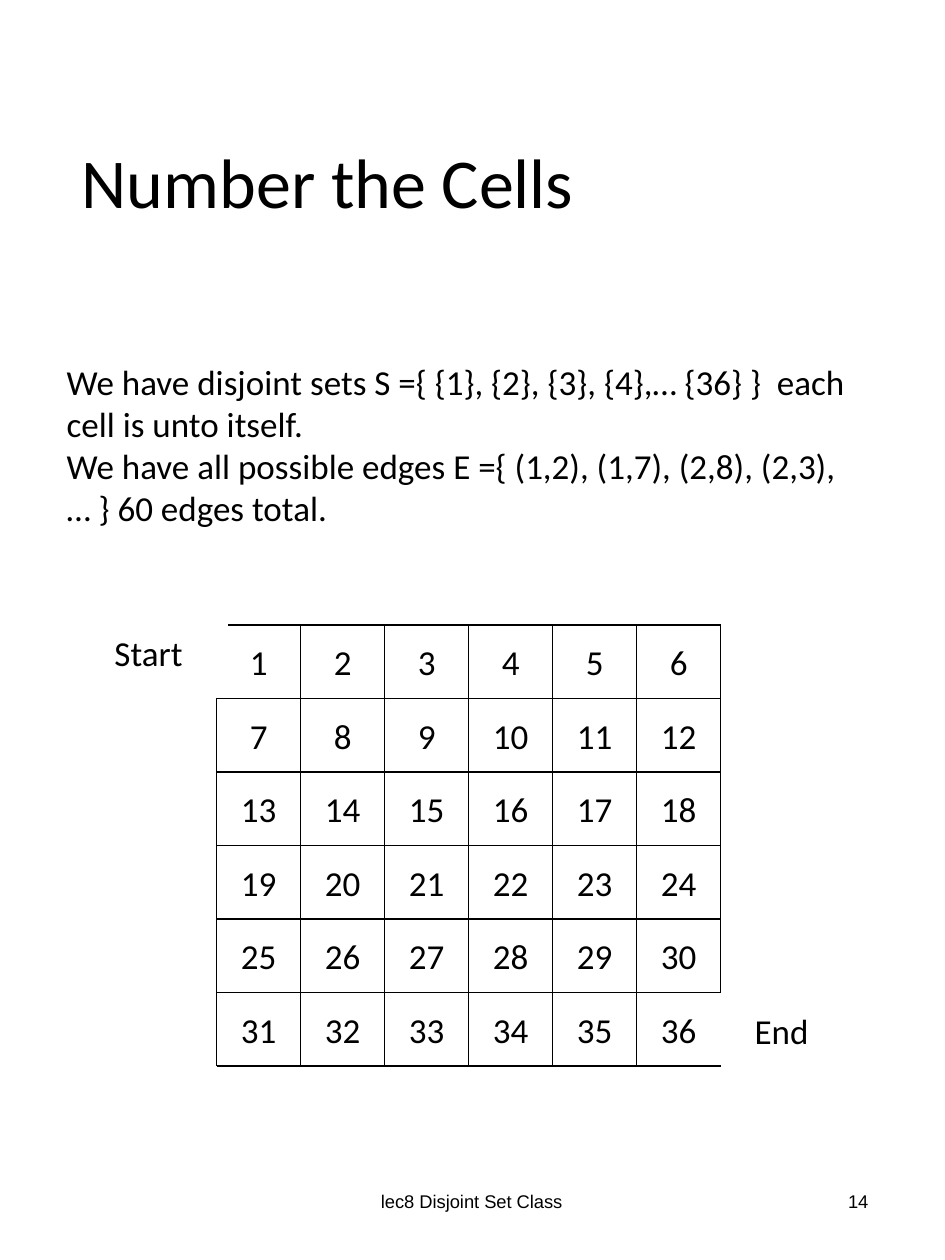
from itertools import product

from lxml import etree
from pptx import Presentation, util as u
from pptx.dml.color import RGBColor
from pptx.enum import shapes, text
from pptx.oxml.ns import qn

# Content
TITLE = "Number the Cells"
BODY = [
    "We have disjoint sets S ={ {1}, {2}, {3}, {4},… {36} }  each cell is unto itself.",
    "We have all possible edges E ={ (1,2), (1,7), (2,8), (2,3), … } 60 edges total.",
]
START, END = "Start", "End"
FOOTER, PAGE = "lec8 Disjoint Set Class", "14"


class Theme:
    ink = RGBColor(0, 0, 0)
    font, footer_font = "Calibri", "Arial"
    title, body, footer = 40, 20, 10.5
    line = 0.75


# Maze grid, in inches
COLS, ROWS = 6, 6
LEFT, TOP, WIDTH, HEIGHT = 1.72, 4.96, 4, 3.5
CELL_W, CELL_H = WIDTH / COLS, HEIGHT / ROWS
LABEL_W, LABEL_H = 0.5, 0.42
ENTRY_SHIFT = 0.09  # the entry wall starts a little right of the corner

LEFT_ALIGN, CENTER, RIGHT = (text.PP_ALIGN.LEFT, text.PP_ALIGN.CENTER,
                             text.PP_ALIGN.RIGHT)
AT_TOP, MIDDLE = text.MSO_ANCHOR.TOP, text.MSO_ANCHOR.MIDDLE

prs = Presentation()
prs.slide_width, prs.slide_height = u.Inches(7.5), u.Inches(10)
s = prs.slides.add_slide(prs.slide_layouts[5])


def write(lines, box, sp=None, size=Theme.body, font=Theme.font, align=LEFT_ALIGN,
          anchor=AT_TOP, wrap=True, grow=False, spacing=None):
    """Put lines of text in a placeholder, or in a new text box."""
    box = [u.Inches(v) for v in box]
    if sp is None:
        sp = s.shapes.add_textbox(*box)
    sp.left, sp.top, sp.width, sp.height = box
    tf = sp.text_frame
    tf.text = "\n".join(lines)
    tf.word_wrap, tf.vertical_anchor = wrap, anchor
    tf.auto_size = (text.MSO_AUTO_SIZE.SHAPE_TO_FIT_TEXT if grow
                    else text.MSO_AUTO_SIZE.NONE)
    for p in tf.paragraphs:
        p.alignment = align
        if spacing:
            p.line_spacing = spacing
        for r in p.runs:
            r.font.name, r.font.size = font, u.Pt(size)
            r.font.color.rgb = Theme.ink


def wall(c1, r1, c2, r2, shift=0):
    """Draw a wall between two grid corners."""
    ends = (LEFT + c1 * CELL_W + shift, TOP + r1 * CELL_H,
            LEFT + c2 * CELL_W + shift, TOP + r2 * CELL_H)
    line = s.shapes.add_connector(shapes.MSO_CONNECTOR.STRAIGHT,
                                  *(u.Inches(v) for v in ends))
    line.line.color.rgb, line.line.width = Theme.ink, u.Pt(Theme.line)
    etree.SubElement(line._element.spPr, qn("a:effectLst"))


# Footer, title and body
write([FOOTER], (2.48, 9.27, 2.53, 0.53), size=Theme.footer,
      font=Theme.footer_font, align=CENTER, anchor=MIDDLE)
write([PAGE], (5.3, 9.27, 1.69, 0.53), size=Theme.footer,
      font=Theme.footer_font, align=RIGHT, anchor=MIDDLE)
write([TITLE], (0.55, 0.51, 6.47, 1.93), sp=s.shapes.title, size=Theme.title,
      anchor=MIDDLE, spacing=0.9)
write(BODY, (0.43, 2.81, 6.51, 1.45), grow=True)

# Top and right wall of each cell, open at the entry and the exit
cells = list(product(range(ROWS), range(COLS)))
for row, col in cells:
    if (row, col) != cells[0]:
        wall(col, row, col + 1, row)
    if (row, col) != cells[-1]:
        wall(col + 1, row, col + 1, row + 1)
wall(COLS - 1, ROWS, 0, ROWS)
wall(0, ROWS, 0, 1)

# Entry and exit labels
write([START], (0.81, TOP, 0.85, 0.44), wrap=False, grow=True)
write([END], (5.89, 7.96, 0.71, 0.44), wrap=False, grow=True)

# Cell numbers, centred in their cells
for number, (row, col) in enumerate(cells, 1):
    x = LEFT + (col + 0.5) * CELL_W - LABEL_W / 2
    y = TOP + (row + 0.5) * CELL_H - LABEL_H / 2
    write([str(number)], (x, y, LABEL_W, LABEL_H), align=CENTER,
          anchor=MIDDLE, wrap=False)

# Walls above the entry and below the exit
wall(0, 0, 1, 0, shift=ENTRY_SHIFT)
wall(COLS - 1, ROWS, COLS, ROWS)

prs.save("out.pptx")
